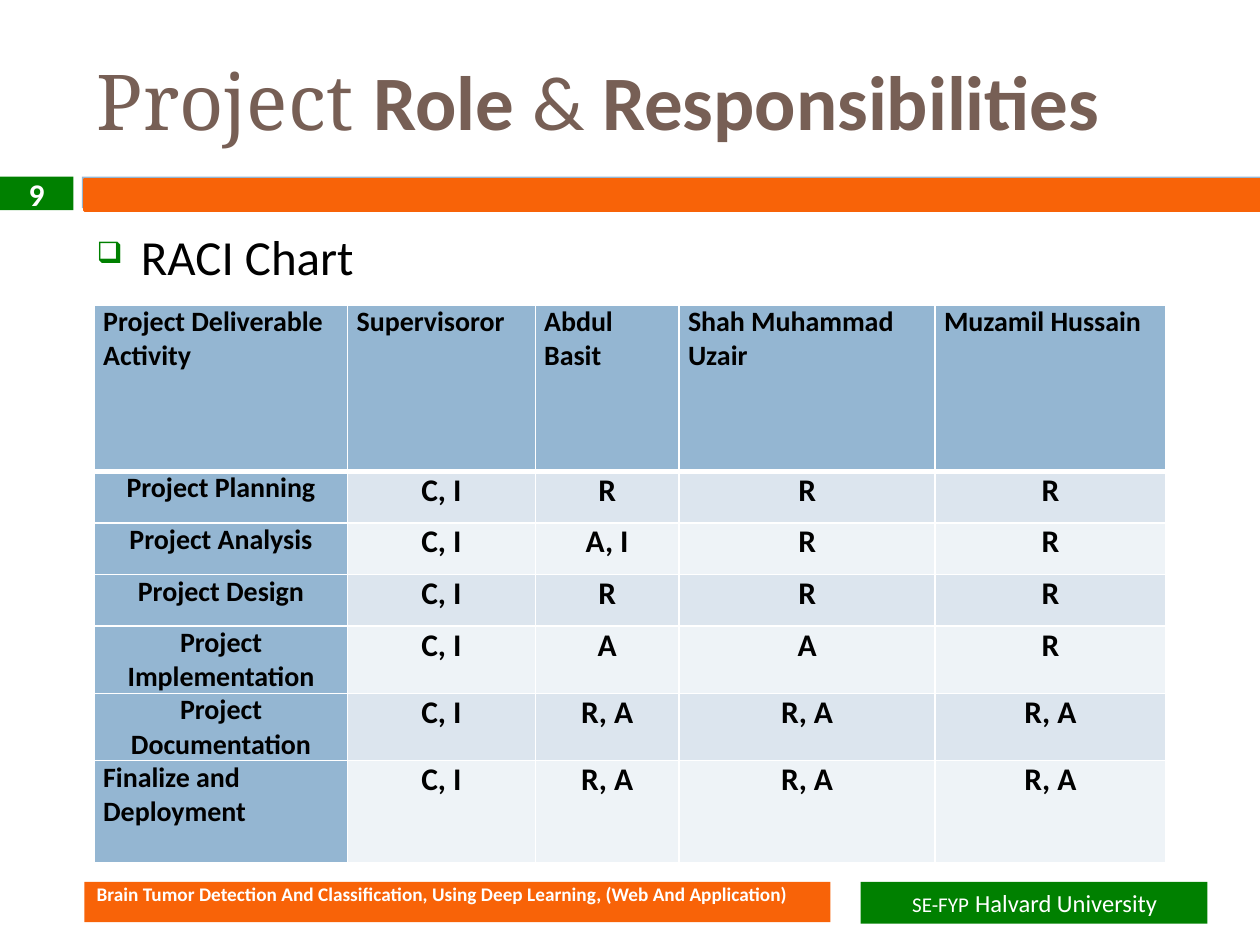
from lxml.etree import SubElement
from pptx import Presentation
from pptx.dml.color import RGBColor
from pptx.enum.shapes import MSO_SHAPE as Shape
from pptx.enum.text import MSO_ANCHOR as Anchor, PP_ALIGN as Align
from pptx.oxml.ns import qn
from pptx.util import Cm, Pt

ORANGE, GREEN, BLUE, BROWN = "F86308", "008000", "94B6D2", "775F55"
WHITE, BLACK = "FFFFFF", "000000"
BANDS = ["DCE5EE", "EEF3F7"]
colour = RGBColor.from_string


def write(para, text, size=16, color=BLACK, bold=False, font="Calibri", align=None):
    """Add a formatted run to the paragraph."""
    span = para.add_run()
    span.text = text
    span.font.size, span.font.bold, span.font.name = Pt(size), bold, font
    span.font.color.rgb = colour(color)
    if align is not None:
        para.alignment = align


def add_bar(left, top, width, height, fill):
    bar = slide.shapes.add_shape(
        Shape.RECTANGLE, Cm(left), Cm(top), Cm(width), Cm(height))
    bar.shadow.inherit = False
    bar.fill.solid()
    bar.fill.fore_color.rgb = colour(fill)
    bar.line.fill.background()
    bar.text_frame.word_wrap = True
    bar.text_frame.margin_top = bar.text_frame.margin_bottom = 0
    return bar


deck = Presentation()
deck.slide_width, deck.slide_height = Cm(25.4), Cm(19.05)
slide = deck.slides.add_slide(deck.slide_layouts[6])

# Divider under the title, with the page number
add_bar(1.65, 3.56, 23.75, 0.64, BLUE)
divider = add_bar(1.7, 3.61, 23.7, 0.64, ORANGE)
divider.line.color.rgb = colour(ORANGE)
divider.line.width = Pt(1.5)
number = add_bar(0, 3.56, 1.48, 0.68, GREEN)
write(number.text_frame.paragraphs[0], "9", size=18, color=WHITE, bold=True,
      align=Align.CENTER)

# Title
title = slide.shapes.add_textbox(Cm(1.7), Cm(0.64), Cm(21.17), Cm(2.75)).text_frame
title.word_wrap = True
title.vertical_anchor = Anchor.MIDDLE
para = title.paragraphs[0]
para.alignment = Align.LEFT
write(para, "Project ", size=44, color=BROWN, font="Noto Serif")
for text, bold in [("Role", True), (" & ", False), ("Responsibilities", True)]:
    write(para, text, size=44, color=BROWN, bold=bold)

# Bulleted heading
body = slide.shapes.add_textbox(Cm(1.7), Cm(4.45), Cm(22.66), Cm(12.5)).text_frame
body.word_wrap = True
para = body.paragraphs[0]
write(para, "RACI Chart", size=28, align=Align.JUSTIFY)
properties = para._p.get_or_add_pPr()
properties.set("marL", str(Cm(0.89)))
properties.set("indent", str(-Cm(0.89)))
bullet_color = SubElement(properties, qn("a:buClr"))
SubElement(bullet_color, qn("a:srgbClr"), val=GREEN)
SubElement(properties, qn("a:buSzPct"), val="60000")
SubElement(properties, qn("a:buChar"), char="❑")

# RACI table
rows = [
    ["Project Deliverable\nActivity", "Supervisoror", "Abdul Basit",
     "Shah Muhammad Uzair", "Muzamil Hussain"],
    ["Project Planning", "C, I", "R", "R", "R"],
    ["Project Analysis", "C, I", "A, I", "R", "R"],
    ["Project Design", "C, I", "R", "R", "R"],
    ["Project Implementation", "C, I", "A", "A", "R"],
    ["Project Documentation", "C, I", "R, A", "R, A", "R, A"],
    ["Finalize and Deployment", "C, I", "R, A", "R, A", "R, A"],
]
column_widths = [5.11, 3.78, 2.9, 5.16, 4.65]
row_heights = [3.35] + [1.04] * 5 + [2.06]
table = slide.shapes.add_table(
    len(rows), len(column_widths), Cm(1.9), Cm(6.15),
    Cm(sum(column_widths)), Cm(sum(row_heights))).table
for column, width in zip(table.columns, column_widths):
    column.width = Cm(width)
for row, height in zip(table.rows, row_heights):
    row.height = Cm(height)

last = len(rows) - 1
for r, texts in enumerate(rows):
    for c, text in enumerate(texts):
        cell = table.cell(r, c)
        cell.margin_left = cell.margin_right = Cm(0.18)
        cell.margin_top = cell.margin_bottom = 0
        for side in "LRTB":
            heavy = (r, side) in [(0, "B"), (1, "T")]
            border = SubElement(cell._tc.get_or_add_tcPr(), qn(f"a:ln{side}"),
                                w=str(Pt(3 if heavy else 1)))
            line_fill = SubElement(border, qn("a:solidFill"))
            SubElement(line_fill, qn("a:srgbClr"), val=WHITE)
        is_label = r == 0 or c == 0
        cell.fill.solid()
        cell.fill.fore_color.rgb = colour(BLUE if is_label else BANDS[(r - 1) % 2])
        at_left = r == 0 or (r == last and c == 0)
        for i, line in enumerate(text.split("\n")):
            frame = cell.text_frame
            para = frame.add_paragraph() if i else frame.paragraphs[0]
            write(para, line, size=16 if is_label else 18, bold=True,
                  align=Align.LEFT if at_left else Align.CENTER)

# Footer
project = add_bar(1.7, 17.78, 15.04, 0.81, ORANGE).text_frame
project.vertical_anchor = Anchor.TOP
write(project.paragraphs[0],
      "Brain Tumor Detection And Classification, Using Deep Learning, (Web And Application)",
      size=11, color=WHITE, bold=True, align=Align.LEFT)

school = add_bar(17.35, 17.78, 6.99, 0.84, GREEN).text_frame
para = school.paragraphs[0]
write(para, "SE-FYP\t", size=12, color=WHITE, align=Align.LEFT)
write(para, "Halvard University", size=14, color=WHITE)
properties = para._p.get_or_add_pPr()
properties.set("marL", str(Cm(0.79)))
properties.set("indent", "0")
tabs = SubElement(properties, qn("a:tabLst"))
SubElement(tabs, qn("a:tab"), pos=str(Cm(2.38)), algn="l")

deck.save("out.pptx")
